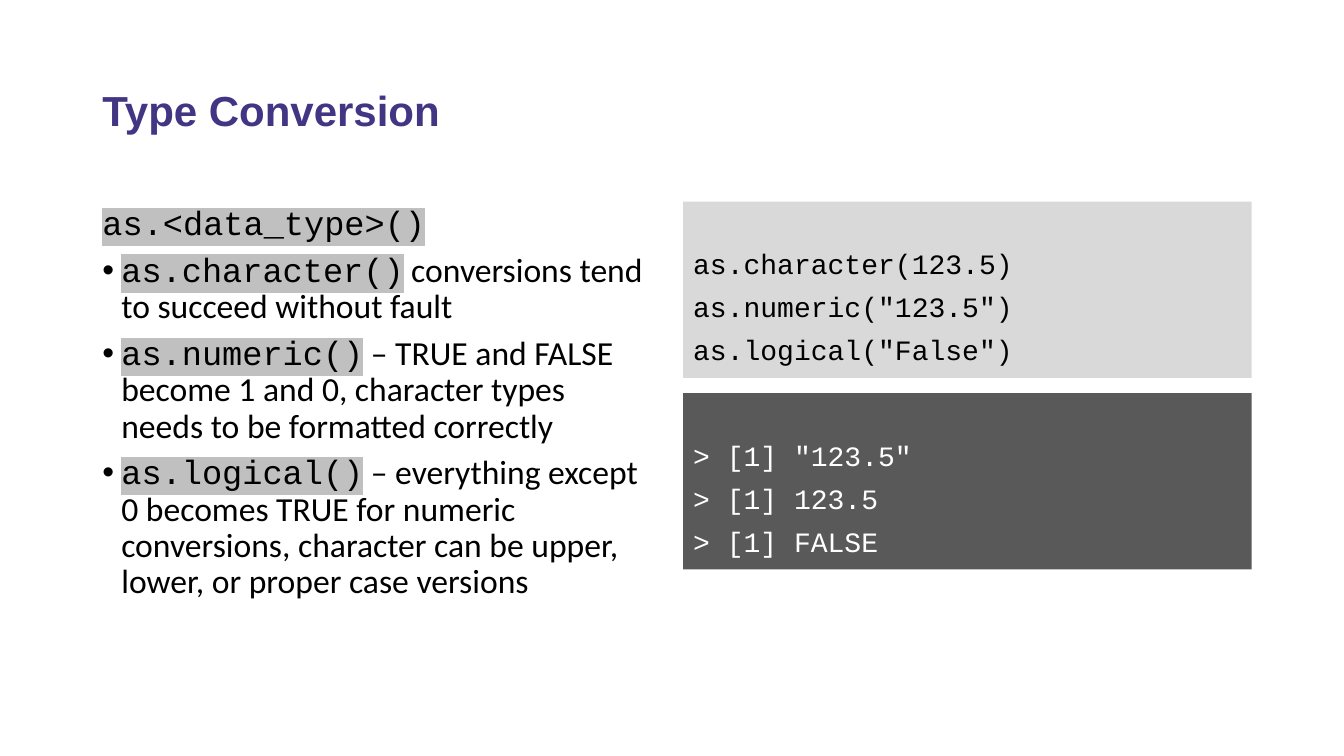
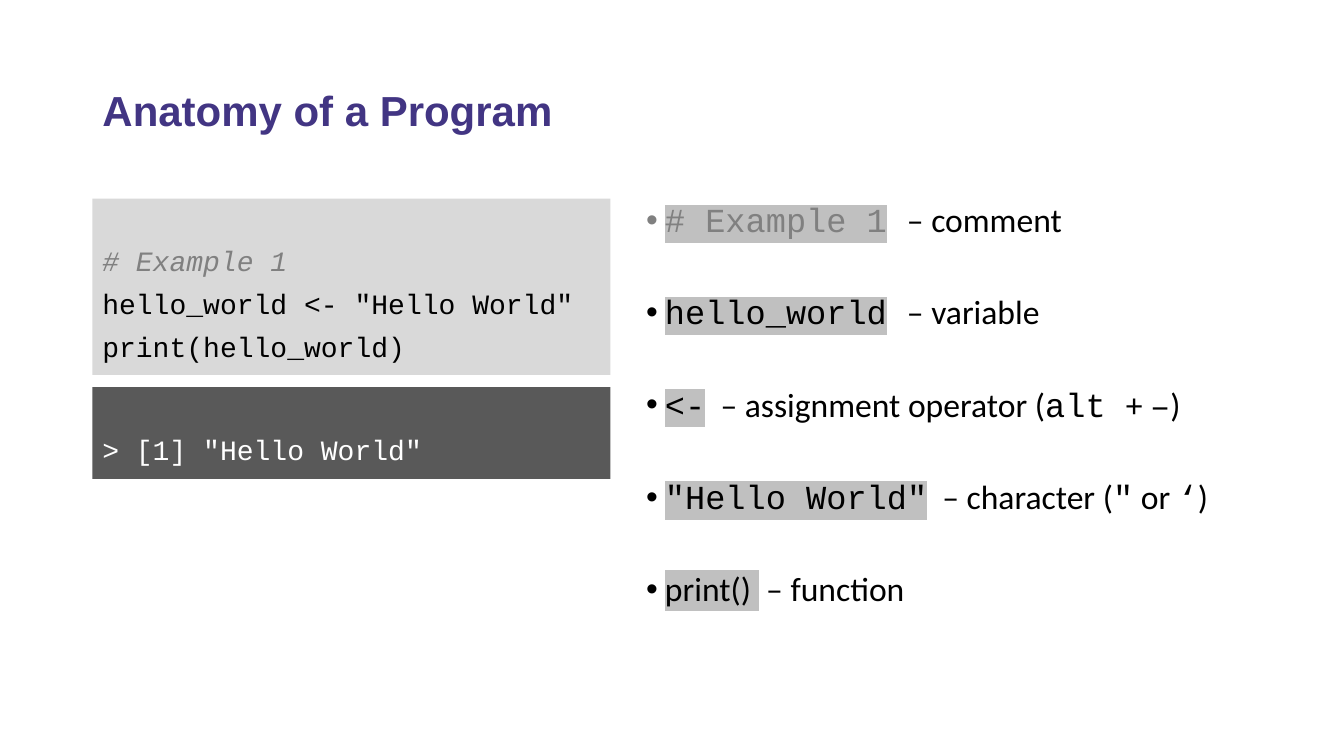
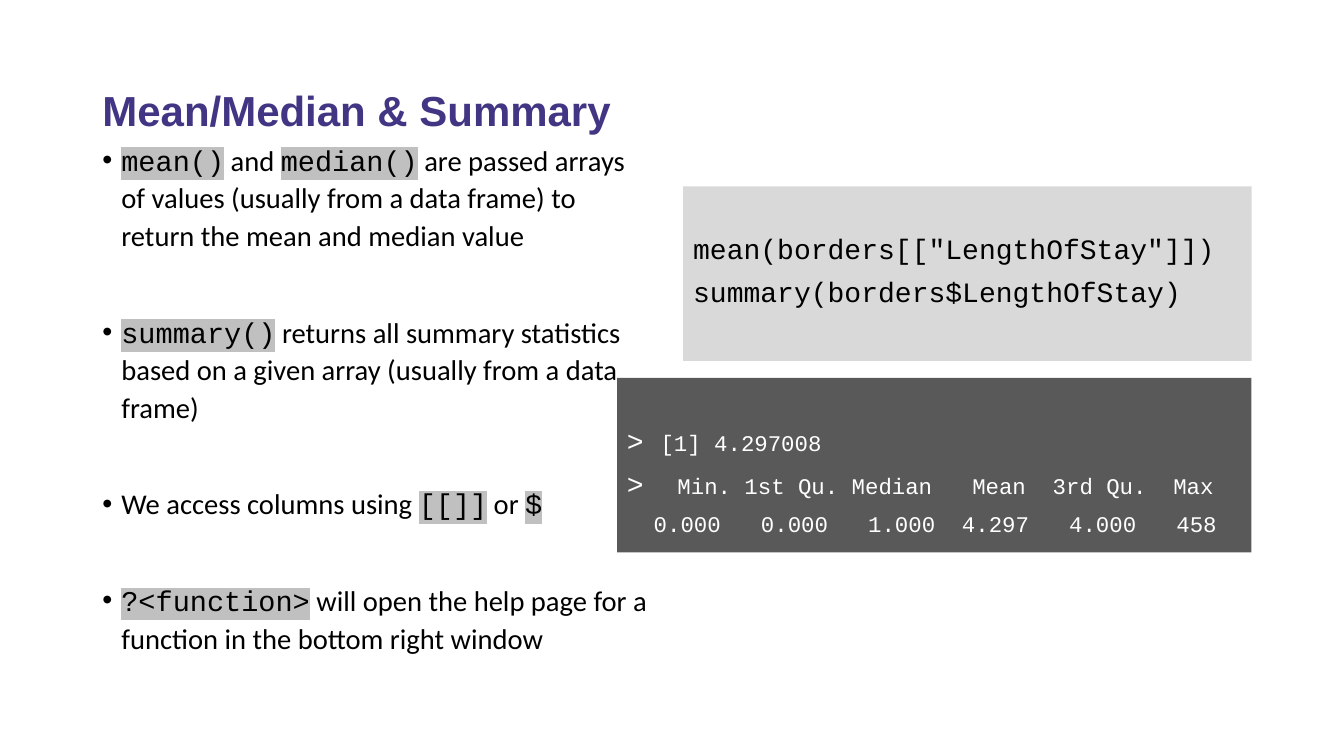
from lxml import etree
from pptx import Presentation
from pptx.dml.color import RGBColor
from pptx.enum.shapes import MSO_SHAPE
from pptx.enum.text import MSO_ANCHOR, MSO_AUTO_SIZE, PP_ALIGN
from pptx.oxml.ns import qn
from pptx.util import Pt

RECT = MSO_SHAPE.RECTANGLE
TOP, MIDDLE = MSO_ANCHOR.TOP, MSO_ANCHOR.MIDDLE
LEFT = PP_ALIGN.LEFT
NO_FIT = MSO_AUTO_SIZE.NONE

SANS, HEAD, MONO = "Calibri", "Arial", "Courier New"
PURPLE, BLACK, WHITE, GREY = "423583", "000000", "FFFFFF", "808080"
MARK, LIGHT, DARK = "C0C0C0", "D9D9D9", "595959"
TITLE_BOX = (66, 28.8, 828, 104.4)
INDENT = 13.5
CODE_TOP, CODE_GAP = 35, 9

# Run styles: font, colour, highlight
STYLES = {
    "text": (SANS, BLACK, None),
    "word": (SANS, BLACK, MARK),
    "mono": (MONO, BLACK, None),
    "code": (MONO, BLACK, MARK),
    "note": (MONO, GREY, MARK),
}

# Body paragraphs: bulleted or not, then runs of (style, text).
# Code lines: runs of (text, size, colour, italic) or one plain string.
SLIDES = [
    {
        "title": "Type Conversion",
        "body": {
            "box": (66, 144, 406, 315.4), "size": 24, "line": 0.9, "gap": 7.5,
            "paras": [
                (False, [("code", "as.<data_type>()")]),
                (True, [("code", "as.character()"),
                        ("text", " conversions tend to succeed without fault")]),
                (True, [("code", "as.numeric()"),
                        ("text", " – TRUE and FALSE become 1 and 0, character "
                                 "types needs to be formatted correctly")]),
                (True, [("code", "as.logical()"),
                        ("text", " – everything except 0 becomes TRUE for "
                                 "numeric conversions, character can be upper, "
                                 "lower, or proper case versions")]),
            ],
        },
        "input": ((488, 144, 406, 126),
                  ["as.character(123.5)", 'as.numeric("123.5")',
                   'as.logical("False")']),
        "output": ((488, 280.8, 406, 126),
                   ['> [1] "123.5"', "> [1] 123.5", "> [1] FALSE"]),
    },
    {
        "title": "Anatomy of a Program",
        "body": {
            "box": (454.3, 141.8, 440, 315.4), "size": 24, "line": 0.9, "gap": 40,
            "paras": [
                (True, [("note", "# Example 1"), ("mono", " "),
                        ("text", "– comment")]),
                (True, [("code", "hello_world"), ("mono", " "),
                        ("text", "– variable")]),
                (True, [("code", "<-"), ("text", "  – assignment operator ("),
                        ("mono", "alt "), ("text", "+ "), ("mono", "–"),
                        ("text", ")")]),
                (True, [("code", '"Hello World"'), ("text", "  – character ("),
                        ("mono", '"'), ("text", " or "), ("mono", "‘"),
                        ("text", ")")]),
                (True, [("word", "print() "), ("text", " – function")]),
            ],
        },
        "input": ((66, 141.8, 370, 126),
                  [[("# Example 1", 20, GREY, True)],
                   'hello_world <- "Hello World"', "print(hello_world)"]),
        "output": ((66, 276.5, 370, 65.5), ['> [1] "Hello World"']),
    },
    {
        "title": "Mean/Median & Summary",
        "body": {
            "box": (66, 95.8, 406, 393.8), "size": 20.4, "line": 1.1, "gap": 42,
            "paras": [
                (True, [("code", "mean()"), ("text", " and "),
                        ("code", "median()"),
                        ("text", " are passed arrays of values (usually from a "
                                 "data frame) to return the mean and median "
                                 "value")]),
                (True, [("code", "summary()"),
                        ("text", " returns all summary statistics based on a "
                                 "given array (usually from a data frame)")]),
                (True, [("text", "We access columns using "), ("code", "[[]]"),
                        ("text", " or "), ("code", "$")]),
                (True, [("code", "?<function>"),
                        ("text", " will open the help page for a function in "
                                 "the bottom right window")]),
            ],
        },
        "input": ((488, 133.2, 406, 124.6),
                  ['mean(borders[["LengthOfStay"]])',
                   "summary(borders$LengthOfStay)"]),
        "output": ((440.8, 270, 453.2, 124.6),
                   [[("> ", 20, WHITE, False), ("[1] 4.297008", 16, WHITE, False)],
                    [(">  ", 20, WHITE, False),
                     ("Min. 1st Qu. Median   Mean  3rd Qu.  Max",
                      16, WHITE, False)],
                    [("  0.000   0.000   1.000  4.297   4.000   458",
                      16, WHITE, False)]]),
    },
]


def rgb(code):
    return RGBColor.from_string(code)


def place(shape, box):
    shape.left, shape.top, shape.width, shape.height = map(Pt, box)


def set_frame(frame, anchor):
    frame.word_wrap = True
    frame.auto_size = NO_FIT
    frame.vertical_anchor = anchor


def add_para(frame, index, line, gap):
    para = frame.add_paragraph() if index else frame.paragraphs[0]
    para.alignment = LEFT
    para.line_spacing = line
    para.space_before = Pt(gap if index else 0)
    para.space_after = Pt(0)
    return para


def add_run(para, text, font, size, color, mark=None, bold=False, italic=False):
    run = para.add_run()
    run.text = text
    face = run.font
    face.size, face.bold, face.italic = Pt(size), bold, italic
    face.color.rgb = rgb(color)
    if mark:
        light = etree.SubElement(face._element, qn("a:highlight"))
        etree.SubElement(light, qn("a:srgbClr"), val=mark)
    face.name = font


def set_bullet(para, shown):
    props = para._p.get_or_add_pPr()
    indent = Pt(INDENT) if shown else 0
    props.set("marL", str(indent))
    props.set("indent", str(-indent))
    if shown:
        etree.SubElement(props, qn("a:buFont"), typeface=HEAD)
        etree.SubElement(props, qn("a:buChar"), char="•")
    else:
        etree.SubElement(props, qn("a:buNone"))


def add_title(slide, text):
    title = slide.shapes.title
    place(title, TITLE_BOX)
    set_frame(title.text_frame, MIDDLE)
    para = add_para(title.text_frame, 0, 0.9, 0)
    add_run(para, text, HEAD, 30, PURPLE, bold=True)


def add_body(slide, body):
    shape = slide.placeholders[1]
    place(shape, body["box"])
    set_frame(shape.text_frame, TOP)
    for i, (shown, runs) in enumerate(body["paras"]):
        para = add_para(shape.text_frame, i, body["line"], body["gap"])
        set_bullet(para, shown)
        for style, text in runs:
            font, color, mark = STYLES[style]
            add_run(para, text, font, body["size"], color, mark)


def add_code(slide, box, lines, fill, color):
    shape = slide.shapes.add_shape(RECT, *map(Pt, box))
    shape.shadow.inherit = False
    shape.fill.solid()
    shape.fill.fore_color.rgb = rgb(fill)
    shape.line.fill.background()
    frame = shape.text_frame
    set_frame(frame, TOP)
    frame.margin_top = Pt(CODE_TOP)
    for i, line in enumerate(lines):
        runs = [(line, 20, color, False)] if isinstance(line, str) else line
        para = add_para(frame, i, 0.9, CODE_GAP)
        for text, size, tint, italic in runs:
            add_run(para, text, MONO, size, tint, italic=italic)


def main():
    deck = Presentation()
    deck.slide_width, deck.slide_height = Pt(960), Pt(540)
    for data in SLIDES:
        slide = deck.slides.add_slide(deck.slide_layouts[1])
        add_title(slide, data["title"])
        add_body(slide, data["body"])
        add_code(slide, *data["input"], LIGHT, BLACK)
        add_code(slide, *data["output"], DARK, WHITE)
    deck.save("out.pptx")


if __name__ == "__main__":
    main()
